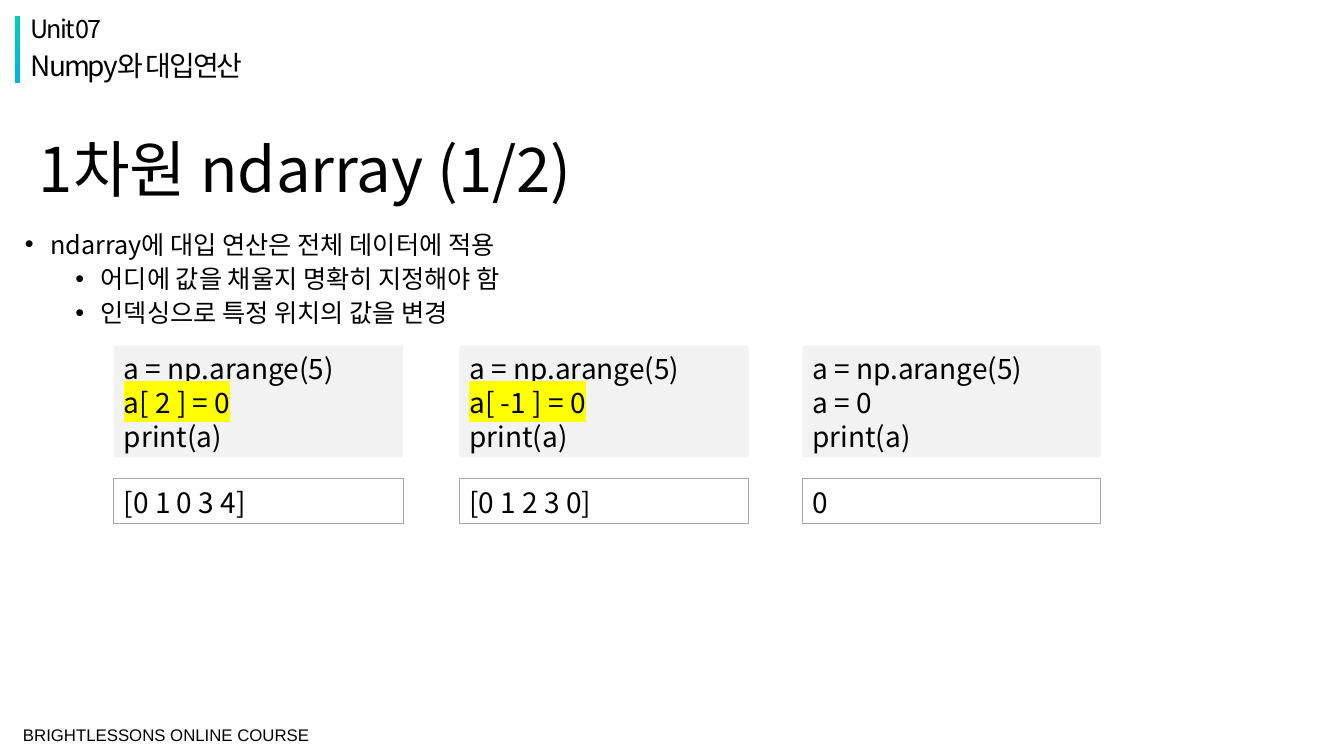
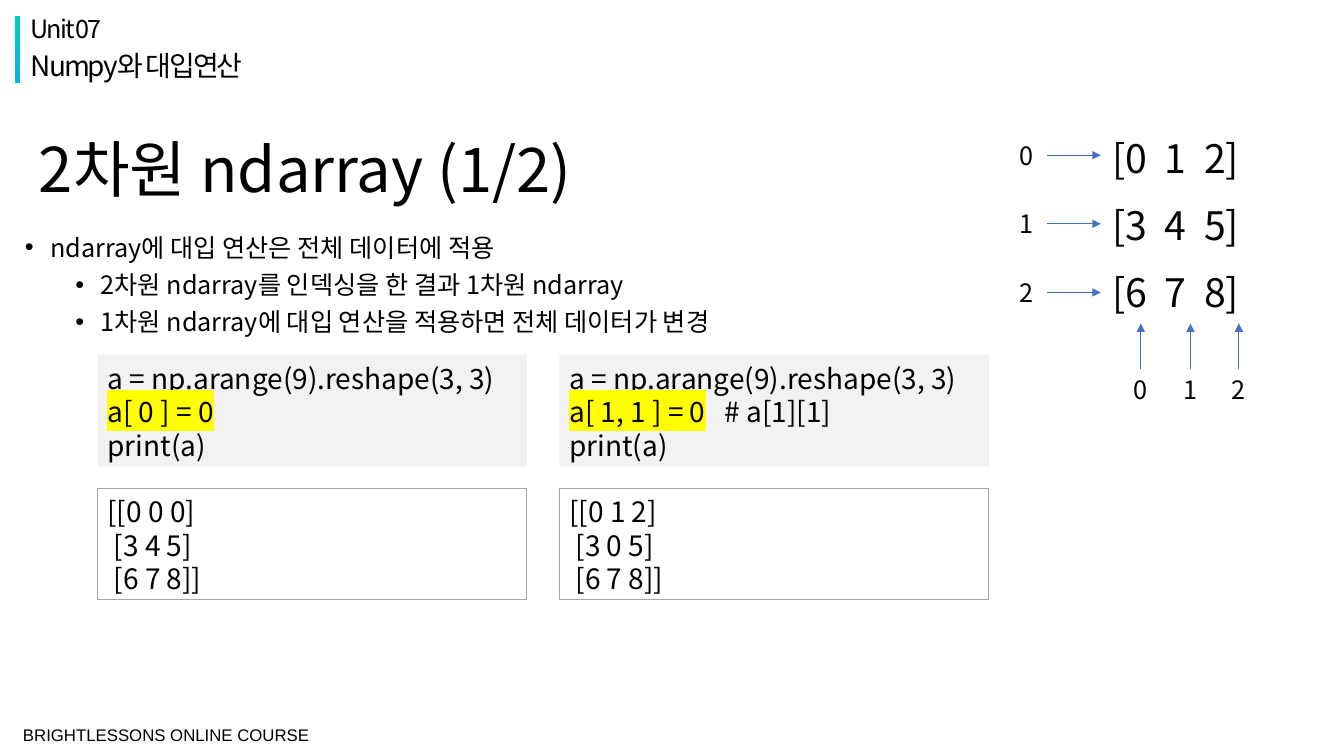
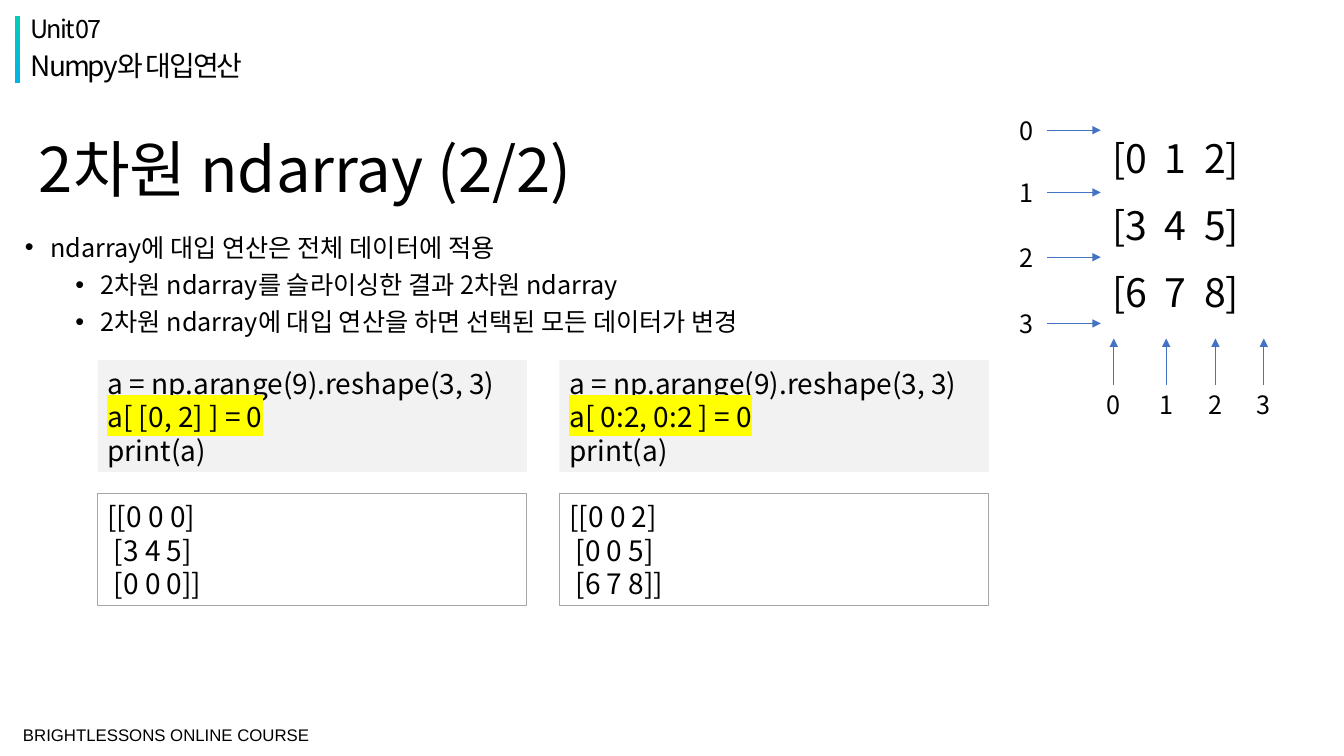
"""Build three course slides on assigning values to ndarray elements."""
from dataclasses import dataclass

from lxml.etree import SubElement
from pptx import Presentation
from pptx.dml.color import RGBColor
from pptx.enum.shapes import MSO_CONNECTOR as Connector, MSO_SHAPE as Preset
from pptx.enum.text import MSO_ANCHOR as Anchor, PP_ALIGN as Align
from pptx.oxml.ns import qn
from pptx.util import Cm, Pt


@dataclass(frozen=True)
class Theme:
    """Colours, fonts, type sizes and line heights."""
    text: str = "000000"
    code_fill: str = "F2F2F2"
    output_line: str = "A6A6A6"
    highlight: str = "FFFF00"
    arrow: str = "4472C4"
    bar: tuple = ("02CCBA", "02B3E4")
    font: str = "Noto Sans CJK KR"
    footer_font: str = "Arial"
    title_size: int = 44
    matrix_size: int = 28
    code_size: int = 20
    body_size: int = 18
    footer_size: int = 12
    leading: float = 1.2
    tight_leading: float = 1.08


THEME = Theme()
FOOTER = "BRIGHTLESSONS ONLINE COURSE"
HEADERS = [("Unit 07", 0.28, 18), ("Numpy와 대입연산", 1.19, 20)]
MATRIX = ["[0  1  2]", "[3  4  5]", "[6  7  8]"]
RESHAPE = "a = np.arange(9).reshape(3, 3)"
ARANGE = "a = np.arange(5)"
WIDE_COLUMNS = [(2.46, 10.82), (14.1, 10.82)]

SLIDES = [
    {
        "title": "1차원 ndarray (1/2)",
        "bullets": ["ndarray에 대입 연산은 전체 데이터에 적용",
                    "어디에 값을 채울지 명확히 지정해야 함",
                    "인덱싱으로 특정 위치의 값을 변경"],
        "body_height": 2.72, "leading": THEME.tight_leading,
        "setup": ARANGE, "panel_top": 8.71,
        "columns": [(2.87, 7.29), (11.58, 7.29), (20.22, 7.52)],
        "panels": [("a[ 2 ] = 0", True, "", ["[0 1 0 3 4]"]),
                   ("a[ -1 ] = 0", True, "", ["[0 1 2 3 0]"]),
                   ("a = 0", False, "", ["0"])],
    },
    {
        "title": "2차원 ndarray (1/2)",
        "bullets": ["ndarray에 대입 연산은 전체 데이터에 적용",
                    "2차원 ndarray를 인덱싱을 한 결과 1차원 ndarray",
                    "1차원 ndarray에 대입 연산을 적용하면 전체 데이터가 변경"],
        "body_height": 3.18, "leading": THEME.leading,
        "setup": RESHAPE, "panel_top": 8.94, "columns": WIDE_COLUMNS,
        "panels": [("a[ 0 ] = 0", True, "", ["[[0 0 0]", " [3 4 5]", " [6 7 8]]"]),
                   ("a[ 1, 1 ] = 0", True, "   # a[1][1]",
                    ["[[0 1 2]", " [3 0 5]", " [6 7 8]]"])],
        "indices": {"rows": [3.91, 5.64, 7.37],
                    "columns": [28.75, 30, 31.22], "tip": 8.15},
    },
    {
        "title": "2차원 ndarray (2/2)",
        "bullets": ["ndarray에 대입 연산은 전체 데이터에 적용",
                    "2차원 ndarray를 슬라이싱한 결과 2차원 ndarray",
                    "2차원 ndarray에 대입 연산을 하면 선택된 모든 데이터가 변경"],
        "body_height": 3.48, "leading": THEME.leading,
        "setup": RESHAPE, "panel_top": 9.07, "columns": WIDE_COLUMNS,
        "panels": [("a[ [0, 2] ] = 0", True, "", ["[[0 0 0]", " [3 4 5]", " [0 0 0]]"]),
                   ("a[ 0:2, 0:2 ] = 0", True, "", ["[[0 0 2]", " [0 0 5]", " [6 7 8]]"])],
        "indices": {"rows": [3.28, 4.85, 6.48, 8.15],
                    "columns": [28.07, 29.39, 30.63, 31.85], "tip": 8.53},
    },
]


def color(value):
    """Return the RGB colour of a hex value."""
    return RGBColor.from_string(value)


def apply(target, **values):
    """Set every given attribute on the target."""
    for name, value in values.items():
        setattr(target, name, value)


def format_frame(frame, left=0.25, top=0.13, right=0.25, bottom=0.13,
                 anchor=Anchor.TOP, wrap=True):
    """Set insets, anchor and wrapping of a text frame."""
    apply(frame, margin_left=Cm(left), margin_top=Cm(top), margin_right=Cm(right),
          margin_bottom=Cm(bottom), vertical_anchor=anchor, word_wrap=wrap)


def add_run(paragraph, text, size, font=THEME.font, highlight=False, tracking=0):
    """Add a run with its font, and a highlight or tracking if asked."""
    run = paragraph.add_run()
    run.text = text
    apply(run.font, size=Pt(size), name=font, bold=False)
    run.font.color.rgb = color(THEME.text)
    properties = run.font.color and run._r.get_or_add_rPr()
    latin = properties.find(qn("a:latin"))
    asian = SubElement(properties, qn("a:ea"), typeface=font)
    latin.addnext(asian)
    if highlight:
        marker = SubElement(properties, qn("a:highlight"))
        SubElement(marker, qn("a:srgbClr"), val=THEME.highlight)
        latin.addprevious(marker)
    if tracking:
        properties.set("spc", str(tracking))


def write(frame, lines, size, leading=THEME.leading, gap=0, align=Align.LEFT, **style):
    """Write lines, each a text or a list of (text, highlight) runs."""
    for number, line in enumerate(lines):
        paragraph = frame.add_paragraph() if number else frame.paragraphs[0]
        apply(paragraph, alignment=align, line_spacing=Pt(size * leading),
              space_before=Pt(gap if number else 0))
        runs = [(line, False)] if isinstance(line, str) else line
        for text, highlight in runs:
            add_run(paragraph, text, size, highlight=highlight, **style)


def add_text(slide, box, lines, size, frame_format=None, **style):
    """Add a text box; the box is given in centimetres."""
    frame = slide.shapes.add_textbox(*map(Cm, box)).text_frame
    format_frame(frame, **(frame_format or {}))
    write(frame, lines, size, **style)


def add_rectangle(slide, box, fill=None, line=None):
    """Add a plain rectangle without shadow."""
    shape = slide.shapes.add_shape(Preset.RECTANGLE, *map(Cm, box))
    shape.shadow.inherit = False
    if fill:
        shape.fill.solid()
        shape.fill.fore_color.rgb = color(fill)
    else:
        shape.fill.background()
    if line:
        shape.line.color.rgb = color(line)
        shape.line.width = Pt(0.75)
    else:
        shape.line.fill.background()
    return shape


def add_course_frame(slide):
    """Add the gradient bar, unit header and footer."""
    bar = add_rectangle(slide, (0.38, 0.41, 0.13, 1.68))
    bar.fill.gradient()
    bar.fill.gradient_angle = 270
    for stop, value in zip(bar.fill.gradient_stops, THEME.bar):
        stop.color.rgb = color(value)
    for text, top, size in HEADERS:
        add_text(slide, (0.53, top, 20.45, 0.86), [text], size,
                 leading=THEME.tight_leading, tracking=-150)
    add_text(slide, (0.38, 18.06, 10.08, 0.91), [FOOTER], THEME.footer_size,
             {"left": 0.2, "right": 0.2, "anchor": Anchor.MIDDLE}, font=THEME.footer_font)


def add_title(slide, text):
    """Place and format the title placeholder."""
    title = slide.shapes.title
    apply(title, left=Cm(0.38), top=Cm(3.24), width=Cm(29.21), height=Cm(2.16))
    format_frame(title.text_frame, left=0.6, anchor=Anchor.MIDDLE)
    write(title.text_frame, [text], THEME.title_size, THEME.tight_leading)


def add_bullets(slide, lines, height, leading):
    """Add one main bullet followed by sub-bullets."""
    frame = slide.shapes.add_textbox(Cm(0.38), Cm(5.72), Cm(29.21), Cm(height)).text_frame
    format_frame(frame)
    write(frame, lines, THEME.body_size, leading, gap=5)
    for number, paragraph in enumerate(frame.paragraphs):
        properties = paragraph._p.get_or_add_pPr()
        properties.set("marL", str(Cm(1.91 if number else 0.64)))
        properties.set("indent", str(-Cm(0.64)))
        SubElement(properties, qn("a:buFont"), typeface=THEME.footer_font)
        SubElement(properties, qn("a:buChar"), char="•")


def add_panels(slide, content):
    """Add code panels with their outputs below."""
    for (left, width), panel in zip(content["columns"], content["panels"]):
        assignment, highlighted, comment, output = panel
        statement = [(assignment, highlighted)] + ([(comment, False)] if comment else [])
        top = content["panel_top"]
        boxes = [([content["setup"], statement, "print(a)"], THEME.code_fill, None),
                 (output, None, THEME.output_line)]
        for lines, fill, line in boxes:
            height = 0.27 + 0.85 * len(lines)
            shape = add_rectangle(slide, (left, top, width, height), fill, line)
            format_frame(shape.text_frame, top=0.16, bottom=0)
            write(shape.text_frame, lines, THEME.code_size)
            top += height + 0.54


def add_arrow(slide, start, end):
    """Add a thin arrow from start to end."""
    arrow = slide.shapes.add_connector(Connector.STRAIGHT, *map(Cm, start + end))
    arrow.line.color.rgb = color(THEME.arrow)
    arrow.line.width = Pt(0.5)
    SubElement(arrow.line._get_or_add_ln(), qn("a:tailEnd"), type="triangle")
    SubElement(arrow._element.spPr, qn("a:effectLst"))


def add_index_label(slide, left, top, number):
    """Add an index number beside an arrow."""
    add_text(slide, (left, top, 0.86, 1.02), [str(number)], THEME.body_size,
             {"wrap": False}, align=Align.CENTER)


def add_matrix(slide, rows, columns, tip):
    """Add the sample matrix with row and column indices."""
    add_text(slide, (27.56, 3.2, 4.8, 4.88), MATRIX, THEME.matrix_size,
             {"left": 0.47, "top": 0.18}, gap=14.4)
    for number, middle in enumerate(rows):
        add_arrow(slide, (26.39, middle), (27.74, middle))
        add_index_label(slide, 25.43, middle - 0.51, number)
    for number, center in enumerate(columns):
        add_arrow(slide, (center, tip + 1.16), (center, tip))
        add_index_label(slide, center - 0.43, tip + 1.16, number)


def main():
    """Build and save the presentation."""
    presentation = Presentation()
    apply(presentation, slide_width=Cm(33.87), slide_height=Cm(19.05))
    for content in SLIDES:
        slide = presentation.slides.add_slide(presentation.slide_layouts[5])
        add_course_frame(slide)
        add_title(slide, content["title"])
        add_bullets(slide, content["bullets"], content["body_height"], content["leading"])
        add_panels(slide, content)
        if "indices" in content:
            add_matrix(slide, **content["indices"])
    presentation.save("out.pptx")


if __name__ == "__main__":
    main()
